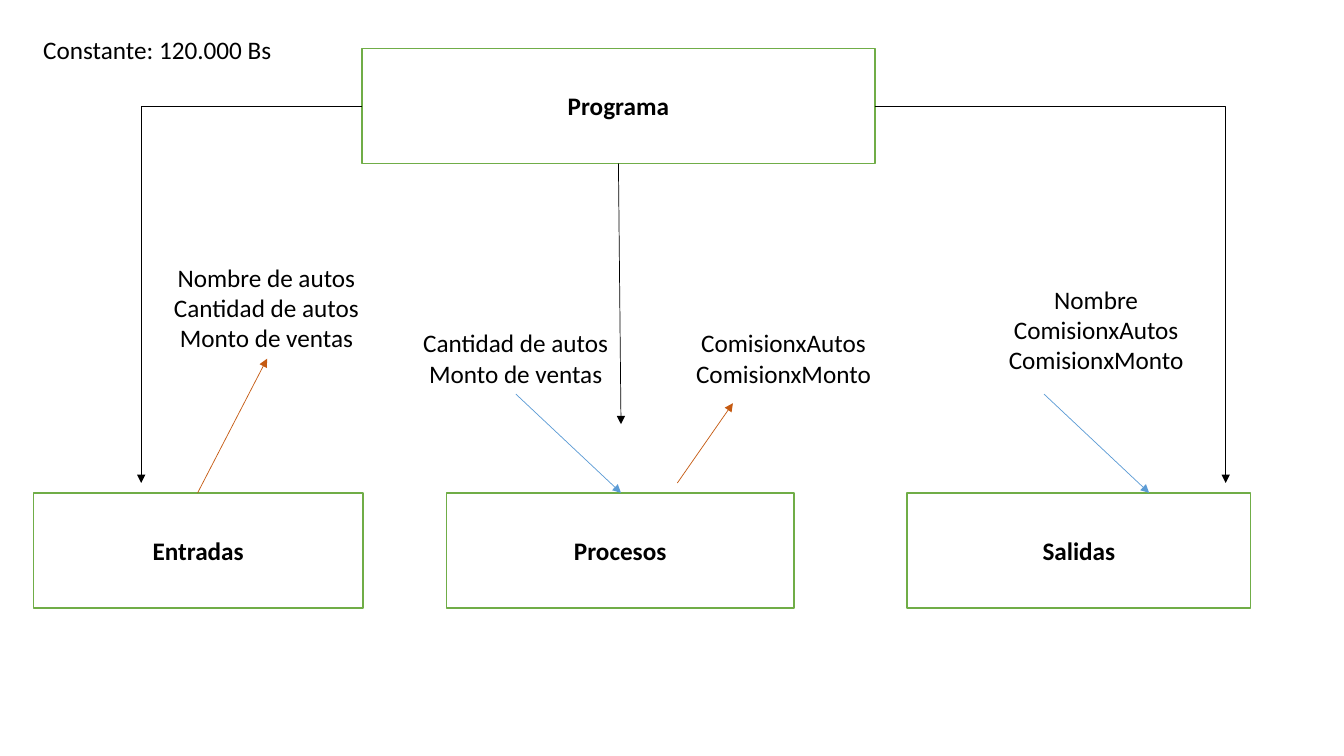
from lxml import etree
from pptx import Presentation
from pptx.dml.color import RGBColor
from pptx.enum.shapes import MSO_CONNECTOR, MSO_SHAPE
from pptx.enum.text import MSO_ANCHOR, PP_ALIGN
from pptx.oxml.ns import qn
from pptx.util import Cm, Pt

RECTANGLE = MSO_SHAPE.RECTANGLE
STRAIGHT, ELBOW = MSO_CONNECTOR.STRAIGHT, MSO_CONNECTOR.ELBOW
LEFT, CENTER = PP_ALIGN.LEFT, PP_ALIGN.CENTER
TOP, MIDDLE = MSO_ANCHOR.TOP, MSO_ANCHOR.MIDDLE
BLACK = RGBColor(0x00, 0x00, 0x00)
WHITE = RGBColor(0xFF, 0xFF, 0xFF)
GREEN = RGBColor(0x70, 0xAD, 0x47)
ORANGE = RGBColor(0xC5, 0x5A, 0x11)
BLUE = RGBColor(0x5B, 0x9B, 0xD5)

# Content, lengths in cm
BOX_HEIGHT = 2.9
MODULE_TOP = 12.42
PROGRAM = ("Programa", 9.12, 1.22, 12.93)
MODULES = [("Entradas", 0.84, 8.31), ("Procesos", 11.25, 8.76), ("Salidas", 22.86, 8.66)]

# Lines of text, alignment, left, top, width, height
LABELS = [
    (["Constante: 120.000 Bs"], LEFT, 0.84, 0.74, 7.11, 1.02),
    (["Nombre de autos", "Cantidad de autos", "Monto de ventas"], CENTER, 2.18, 6.48, 9.07, 2.57),
    (["Cantidad de autos", "Monto de ventas"], CENTER, 9.5, 8.13, 6.99, 1.8),
    (["ComisionxAutos", "ComisionxMonto"], CENTER, 16.48, 8.13, 6.53, 2.57),
    (["Nombre", "ComisionxAutos", "ComisionxMonto"], CENTER, 24.36, 7.04, 6.53, 3.33),
]

# Start and end of each data arrow: blue goes into a module, orange comes out
DATA_ARROWS = [
    (ORANGE, (4.98, MODULE_TOP), (6.73, 9.04)),
    (BLUE, (13.0, 9.93), (15.65, MODULE_TOP)),
    (ORANGE, (17.07, 12.17), (18.47, 10.16)),
    (BLUE, (26.31, 9.93), (28.96, MODULE_TOP)),
]
CALL_END = 12.17

prs = Presentation()
prs.slide_width, prs.slide_height = Cm(33.87), Cm(19.05)
slide = prs.slides.add_slide(prs.slide_layouts[6])


def write(frame, lines, align, anchor, bold):
    frame.word_wrap = True
    frame.vertical_anchor = anchor
    frame.text = "\n".join(lines)
    for paragraph in frame.paragraphs:
        paragraph.alignment = align
        font_format = {"name": "Calibri", "size": Pt(18), "bold": bold}
        for key, value in font_format.items():
            setattr(paragraph.font, key, value)
        paragraph.font.color.rgb = BLACK


def add_box(name, left, top, width):
    box = slide.shapes.add_shape(RECTANGLE, Cm(left), Cm(top), Cm(width), Cm(BOX_HEIGHT))
    box.shadow.inherit = False
    box.fill.solid()
    box.fill.fore_color.rgb = WHITE
    box.line.color.rgb = GREEN
    box.line.width = Pt(1)
    write(box.text_frame, [name], CENTER, MIDDLE, True)


def add_arrow(color, start, end, kind=STRAIGHT):
    arrow = slide.shapes.add_connector(kind, *map(Cm, start + end))
    arrow.line.color.rgb = color
    arrow.line.width = Pt(0.5)
    properties = arrow._element.spPr
    etree.SubElement(properties.find(qn("a:ln")), qn("a:tailEnd"), type="triangle")
    etree.SubElement(properties, qn("a:effectLst"))
    if kind == ELBOW:  # a single corner
        properties.find(qn("a:prstGeom")).set("prst", "bentConnector2")


# Program and its modules
add_box(*PROGRAM)
for name, left, width in MODULES:
    add_box(name, left, MODULE_TOP, width)

# Data labels
for lines, align, *place in LABELS:
    label = slide.shapes.add_textbox(*map(Cm, place))
    write(label.text_frame, lines, align, TOP, False)

# Data arrows
for color, start, end in DATA_ARROWS:
    add_arrow(color, start, end)

# Calls from the program to the modules
_, left, top, width = PROGRAM
middle = top + BOX_HEIGHT / 2
add_arrow(BLACK, (left, middle), (3.56, CALL_END), ELBOW)
add_arrow(BLACK, (left + width, middle), (30.89, CALL_END), ELBOW)
add_arrow(BLACK, (left + width / 2, top + BOX_HEIGHT), (15.65, 10.69))

prs.save("out.pptx")
